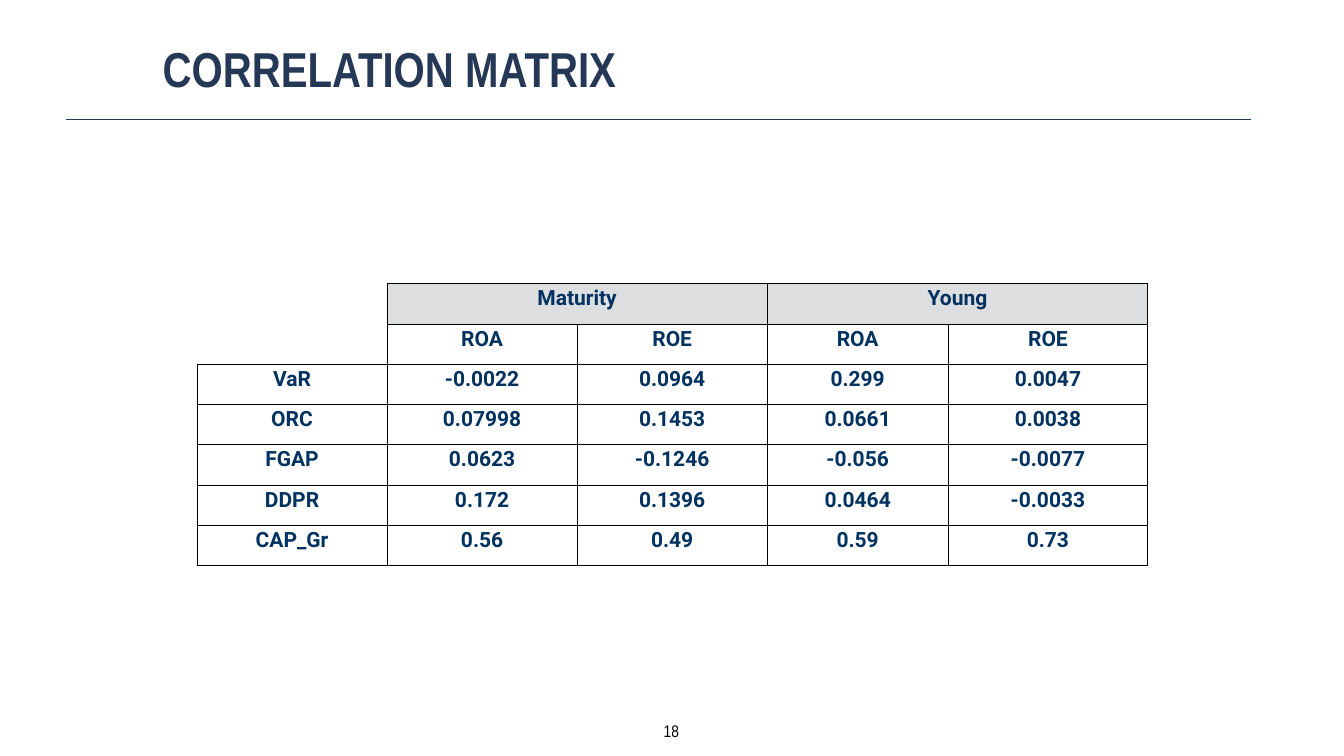
"""Build the correlation matrix slide."""
from lxml.etree import SubElement
from pptx import Presentation
from pptx.dml.color import RGBColor
from pptx.enum.shapes import MSO_CONNECTOR
from pptx.enum.text import PP_ALIGN
from pptx.oxml.ns import qn
from pptx.util import Cm, Pt

TITLE = "CORRELATION MATRIX"
PAGE = "18"
ROWS = [
    ("", "Maturity", "", "Young", ""),
    ("", "ROA", "ROE", "ROA", "ROE"),
    ("VaR", "-0.0022", "0.0964", "0.299", "0.0047"),
    ("ORC", "0.07998", "0.1453", "0.0661", "0.0038"),
    ("FGAP", "0.0623", "-0.1246", "-0.056", "-0.0077"),
    ("DDPR", "0.172", "0.1396", "0.0464", "-0.0033"),
    ("CAP_Gr", "0.56", "0.49", "0.59", "0.73"),
]
WIDTHS = [9.58, 9.58, 9.58, 9.12, 10.06]
HEIGHT = 2.03
HEADS = 2
COLORS = {"title": "253957", "text": "013260", "head": "DCDEE0", "line": "000000"}


def color(name):
    return RGBColor.from_string(COLORS[name])


def write(frame, text, size=30, font="Roboto", tint="text", bold=True,
          align=PP_ALIGN.CENTER):
    para = frame.paragraphs[0]
    para.alignment = align
    run = para.add_run()
    run.text = text
    run.font.size = Pt(size)
    run.font.name = font
    run.font.bold = bold
    run.font.color.rgb = color(tint)


def add_box(slide, place, text, wrap=True, **form):
    frame = slide.shapes.add_textbox(*map(Cm, place)).text_frame
    frame.word_wrap = wrap
    frame.margin_left = frame.margin_right = Cm(0.2)
    frame.margin_top = frame.margin_bottom = Cm(0.2)
    write(frame, text, font="Arial Narrow", **form)


def add_rule(slide):
    rule = slide.shapes.add_connector(
        MSO_CONNECTOR.STRAIGHT, Cm(3.33), Cm(6), Cm(63.07), Cm(6))
    rule.line.color.rgb = color("title")
    rule.line.width = Pt(1)
    SubElement(rule._element.spPr, qn("a:effectLst"))


def set_edges(cell, sides):
    props = cell._tc.get_or_add_tcPr()
    for side in sides:
        edge = SubElement(props, qn(f"a:ln{side}"), w=str(Pt(1)))
        fill = SubElement(edge, qn("a:solidFill"))
        SubElement(fill, qn("a:srgbClr"), val=COLORS["line"])


def add_matrix(slide):
    table = slide.shapes.add_table(
        len(ROWS), len(WIDTHS), Cm(9.93), Cm(14.3),
        Cm(sum(WIDTHS)), Cm(HEIGHT * len(ROWS))).table
    table.first_row = table.horz_banding = False
    for col, width in zip(table.columns, WIDTHS):
        col.width = Cm(width)
    for r, row in enumerate(ROWS):
        table.rows[r].height = Cm(HEIGHT)
        for c, text in enumerate(row):
            cell = table.cell(r, c)
            if c == 0 and r < HEADS:
                set_edges(cell, "RB" if r == HEADS - 1 else "R")
            else:
                set_edges(cell, "LRTB")
            if r == 0 and c > 0:
                cell.fill.solid()
                cell.fill.fore_color.rgb = color("head")
            else:
                cell.fill.background()
            if text:
                write(cell.text_frame, text)
    for c in (1, 3):
        table.cell(0, c).merge(table.cell(0, c + 1))


def main():
    deck = Presentation()
    deck.slide_width, deck.slide_height = Cm(67.74), Cm(38.1)
    slide = deck.slides.add_slide(deck.slide_layouts[6])
    add_box(slide, (8, 1.73, 59.74, 6.43), TITLE, size=70, tint="title",
            align=PP_ALIGN.LEFT)
    add_rule(slide)
    add_matrix(slide)
    add_box(slide, (33.15, 36.14, 1.37, 1.42), PAGE, wrap=False, size=24,
            tint="line", bold=False)
    deck.save("out.pptx")


if __name__ == "__main__":
    main()
